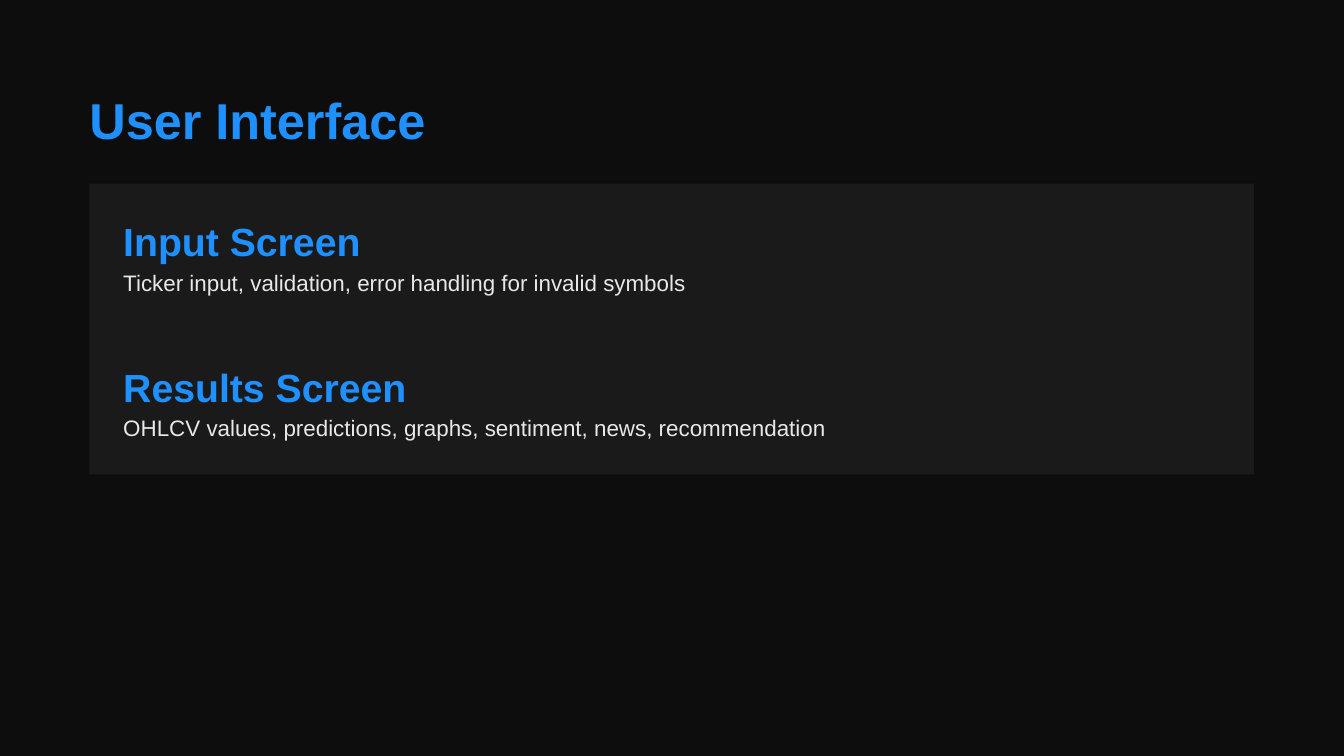
import pptx
import pptx.dml.color
import pptx.enum.shapes
import pptx.enum.text
import pptx.util

Cm = pptx.util.Cm
Pt = pptx.util.Pt
HUES = {"back": "0D0D0D", "card": "1A1A1A", "head": "1E90FF", "text": "E8E8E8"}
CARDS = [
    ("Input Screen", "Ticker input, validation, error handling for invalid symbols"),
    ("Results Screen", "OHLCV values, predictions, graphs, sentiment, news, recommendation"),
]


def paint(fill, hue):
    """Fill with a solid named colour."""
    fill.solid()
    fill.fore_color.rgb = pptx.dml.color.RGBColor.from_string(HUES[hue])


def write(shape, text, size, lead, hue, bold):
    """Put one line of styled text in a shape without insets."""
    frame = shape.text_frame
    frame.text = text
    frame.word_wrap = True
    frame.auto_size = pptx.enum.text.MSO_AUTO_SIZE.NONE
    frame.vertical_anchor = pptx.enum.text.MSO_ANCHOR.TOP
    frame.margin_left = frame.margin_right = 0
    frame.margin_top = frame.margin_bottom = 0
    line = frame.paragraphs[0]
    line.alignment = pptx.enum.text.PP_ALIGN.LEFT
    line.line_spacing = Pt(lead)
    font = line.runs[0].font
    font.name, font.size, font.bold = "Arial", Pt(size), bold
    paint(font.fill, hue)


def add_title(slide, text, left, top, width, height):
    """Place the slide title in the given box."""
    title = slide.shapes.title
    title.left, title.top = Cm(left), Cm(top)
    title.width, title.height = Cm(width), Cm(height)
    write(title, text, 27, 32.4, "head", True)


def add_card(slide, head, text, left, top, width, height):
    """Draw a card with a heading and a line of text in the given box."""
    kind = pptx.enum.shapes.MSO_SHAPE.RECTANGLE
    card = slide.shapes.add_shape(kind, Cm(left), Cm(top), Cm(width), Cm(height))
    card.shadow.inherit = False
    paint(card.fill, "card")
    card.line.fill.background()
    pad, rise = 0.64, 0.89
    x, y, span = left + pad, top + pad, width - 2 * pad
    box = slide.shapes.add_textbox(Cm(x), Cm(y), Cm(span), Cm(rise))
    write(box, head, 21, 25.2, "head", True)
    box = slide.shapes.add_textbox(Cm(x), Cm(y + rise), Cm(span), Cm(0.59))
    write(box, text, 12, 16.8, "text", False)


def main():
    """Build the slide and save it."""
    deck = pptx.Presentation()
    deck.slide_width, deck.slide_height = Cm(25.4), Cm(14.29)
    slide = deck.slides.add_slide(deck.slide_layouts[5])
    paint(slide.background.fill, "back")
    left, top, width, height = 1.69, 3.47, 22.01, 2.75
    add_title(slide, "User Interface", left, 1.69, 22.45, 1.14)
    for row, (head, text) in enumerate(CARDS):
        add_card(slide, head, text, left, top + row * height, width, height)
    deck.save("out.pptx")


if __name__ == "__main__":
    main()
